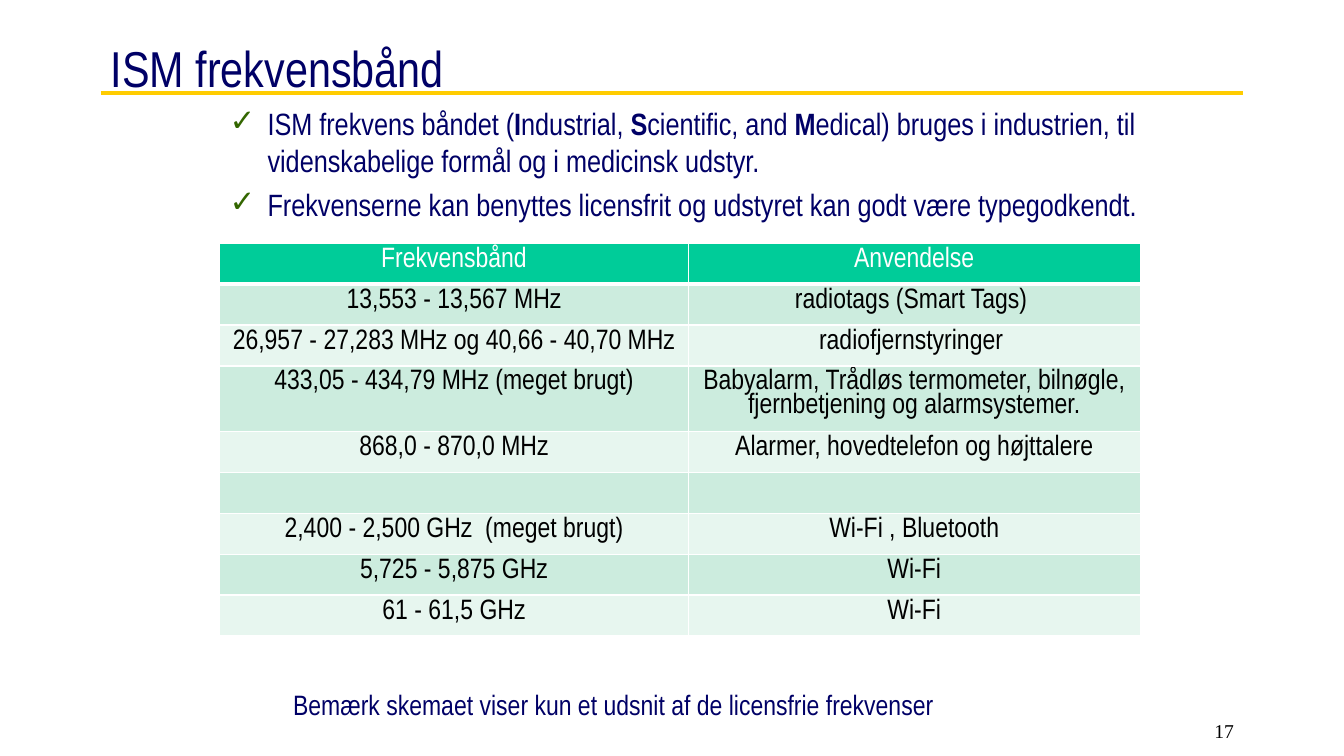
import pptx
import pptx.dml.color
import pptx.enum.shapes
import pptx.enum.text
import pptx.oxml
import pptx.oxml.ns
import pptx.util
from lxml import etree

Pt = pptx.util.Pt
ALIGN = pptx.enum.text.PP_ALIGN
ANCHOR = pptx.enum.text.MSO_ANCHOR

TITLE = "ISM frekvensbånd"
# Each point is a list of (text, bold) pieces
POINTS = [
    [("ISM frekvens båndet (", False), ("I", True), ("ndustrial, ", False),
     ("S", True), ("cientific, and ", False), ("M", True),
     ("edical) bruges i industrien, til videnskabelige formål og i medicinsk udstyr.", False)],
    [("Frekvenserne kan benyttes licensfrit og udstyret kan godt være typegodkendt.", False)],
]
BANDS = [
    ("Frekvensbånd", "Anvendelse"),
    ("13,553 - 13,567 MHz", "radiotags (Smart Tags) "),
    ("26,957 - 27,283 MHz og 40,66 - 40,70 MHz", "radiofjernstyringer "),
    ("433,05 - 434,79 MHz (meget brugt)",
     "Babyalarm, Trådløs termometer, bilnøgle, fjernbetjening og alarmsystemer."),
    ("868,0 - 870,0 MHz", "Alarmer, hovedtelefon og højttalere"),
    ("", ""),
    ("2,400 - 2,500 GHz  (meget brugt)", "Wi-Fi , Bluetooth"),
    ("5,725 - 5,875 GHz", "Wi-Fi"),
    ("61 - 61,5 GHz", "Wi-Fi"),
]
FOOTNOTE = "Bemærk skemaet viser kun et udsnit af de licensfrie frekvenser"
PAGE_NUMBER = "17"

THEME = {
    "font": "Arial Narrow", "number_font": "Times New Roman",
    "navy": "000066", "gold": "FFCC00", "check": "336600",
    "white": "FFFFFF", "black": "000000",
    "header": "00CC99", "bands": ("CCECDE", "E7F6EF"),
    "title_size": 36, "point_size": 22, "table_size": 20, "number_size": 14,
}
COLUMN_WIDTHS = (334.6, 323)
ROW_HEIGHT, TALL_ROW_HEIGHT, TALL_ROW = 29.2, 45, 3
POINT_INDENT = 27


def rgb(name):
    return pptx.dml.color.RGBColor.from_string(THEME.get(name, name))


def style(paragraph, size, color, font="font", align=None):
    paragraph.font.name = THEME[font]
    paragraph.font.size = Pt(THEME[size])
    paragraph.font.color.rgb = rgb(color)
    paragraph.alignment = align


def add_box(slide, left, top, width, height, wrap=True, anchor=ANCHOR.TOP):
    frame = slide.shapes.add_textbox(Pt(left), Pt(top), Pt(width), Pt(height)).text_frame
    frame.word_wrap = wrap
    frame.vertical_anchor = anchor
    return frame


def add_check(paragraph):
    """Give the paragraph a hanging indent and a coloured check mark."""
    properties = paragraph._p.get_or_add_pPr()
    properties.set("marL", str(Pt(POINT_INDENT)))
    properties.set("indent", str(-Pt(POINT_INDENT)))
    color = etree.SubElement(properties, pptx.oxml.ns.qn("a:buClr"))
    etree.SubElement(color, pptx.oxml.ns.qn("a:srgbClr"), val=THEME["check"])
    etree.SubElement(properties, pptx.oxml.ns.qn("a:buFont"), typeface=THEME["font"])
    etree.SubElement(properties, pptx.oxml.ns.qn("a:buChar"), char="✓")


def add_borders(cell, widths):
    """Draw white borders; widths are left, right, top, bottom in points."""
    properties = cell._tc.get_or_add_tcPr()
    for side, width in zip("LRTB", widths):
        line = etree.SubElement(properties, pptx.oxml.ns.qn(f"a:ln{side}"), w=str(Pt(width)))
        fill = etree.SubElement(line, pptx.oxml.ns.qn("a:solidFill"))
        etree.SubElement(fill, pptx.oxml.ns.qn("a:srgbClr"), val=THEME["white"])


def add_heading(slide):
    rule = slide.shapes.add_connector(
        pptx.enum.shapes.MSO_CONNECTOR.STRAIGHT, Pt(72), Pt(66.2), Pt(888), Pt(66.2))
    rule.line.color.rgb = rgb("gold")
    rule.line.width = Pt(3)
    etree.SubElement(rule._element.spPr, pptx.oxml.ns.qn("a:effectLst"))
    title = add_box(slide, 72, 12.2, 816, 72, anchor=ANCHOR.MIDDLE).paragraphs[0]
    title.text = TITLE
    style(title, "title_size", "navy")


def add_points(slide):
    frame = add_box(slide, 157, 71.3, 663, 90)
    for index, pieces in enumerate(POINTS):
        point = frame.add_paragraph() if index else frame.paragraphs[0]
        if index:
            point.space_before = Pt(5)
        add_check(point)
        style(point, "point_size", "navy")
        for text, bold in pieces:
            run = point.add_run()
            run.text = text
            run.font.bold = bold


def add_band_table(slide):
    heights = [TALL_ROW_HEIGHT if row == TALL_ROW else ROW_HEIGHT for row in range(len(BANDS))]
    table = slide.shapes.add_table(
        len(BANDS), len(COLUMN_WIDTHS), Pt(157), Pt(173.8),
        Pt(sum(COLUMN_WIDTHS)), Pt(sum(heights))).table
    table.first_row = table.horz_banding = False
    for column, width in zip(table.columns, COLUMN_WIDTHS):
        column.width = Pt(width)
    for row, texts in enumerate(BANDS):
        table.rows[row].height = Pt(heights[row])
        is_header = row == 0
        for column, text in enumerate(texts):
            cell = table.cell(row, column)
            add_borders(cell, (1, 1, 3 if row == 1 else 1, 3 if is_header else 1))
            cell.margin_bottom = 0
            cell.fill.solid()
            cell.fill.fore_color.rgb = rgb("header" if is_header else THEME["bands"][(row - 1) % 2])
            paragraph = cell.text_frame.paragraphs[0]
            paragraph.line_spacing = 0.9
            if text:
                paragraph.text = text
            style(paragraph, "table_size", "white" if is_header else "black", align=ALIGN.CENTER)


def add_footer(slide):
    note = add_box(slide, 202.3, 491, 491.8, 28, wrap=False).paragraphs[0]
    note.text = FOOTNOTE
    note.line_spacing = 0.85
    style(note, "table_size", "navy")
    number = add_box(slide, 688.3, 509.8, 200.2, 18).paragraphs[0]
    number.text = PAGE_NUMBER
    style(number, "number_size", "black", "number_font", ALIGN.RIGHT)


def main():
    deck = pptx.Presentation()
    deck.slide_width, deck.slide_height = Pt(960), Pt(540)
    slide = deck.slides.add_slide(deck.slide_layouts[6])
    add_heading(slide)
    add_points(slide)
    add_band_table(slide)
    add_footer(slide)
    deck.save("out.pptx")


if __name__ == "__main__":
    main()
